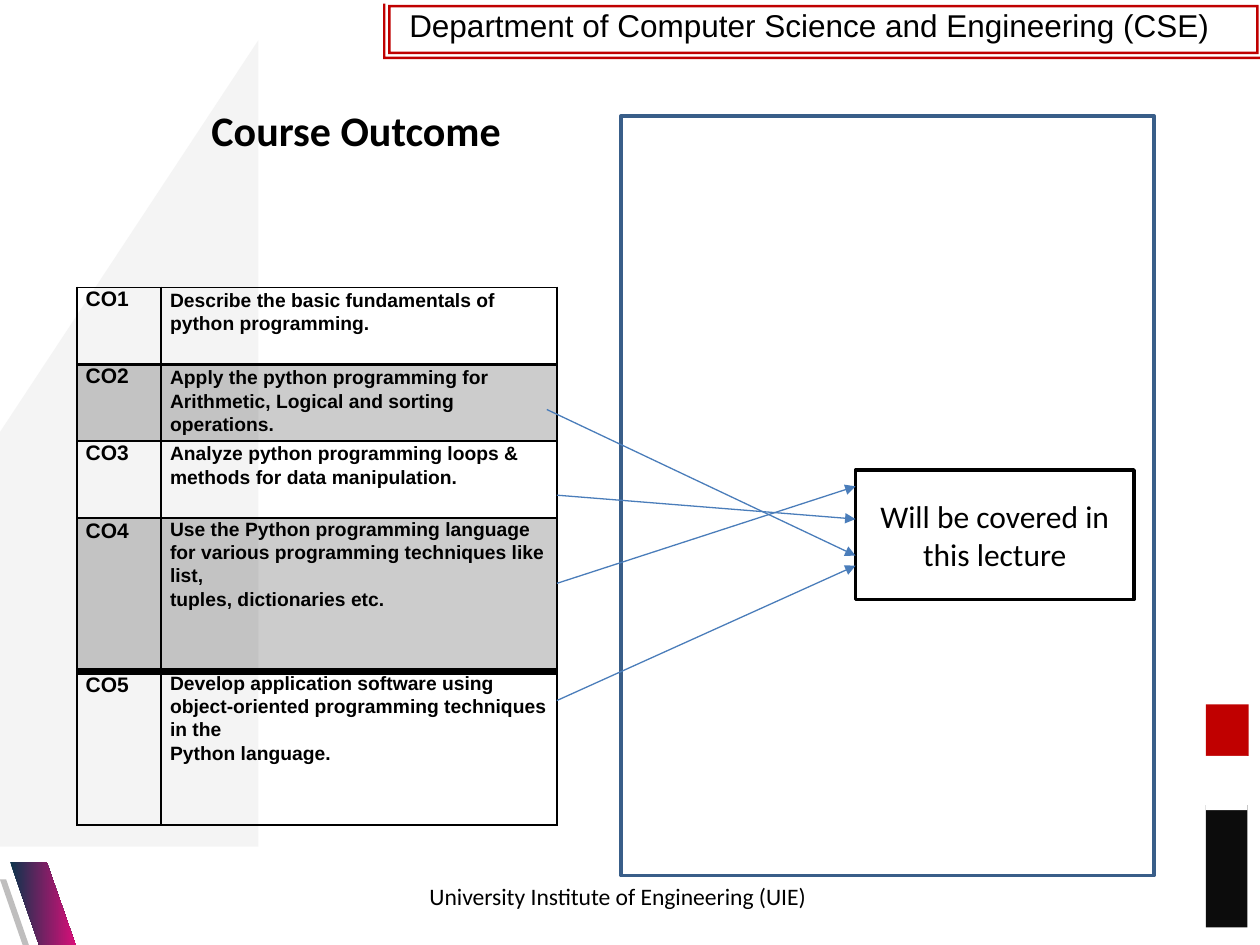
from lxml import etree
from pptx import Presentation
from pptx.dml.color import RGBColor
from pptx.enum.shapes import MSO_CONNECTOR, MSO_SHAPE
from pptx.enum.text import MSO_ANCHOR, PP_ALIGN
from pptx.oxml.ns import qn
from pptx.util import Inches, Pt

RECT, TRIANGLE = MSO_SHAPE.RECTANGLE, MSO_SHAPE.RIGHT_TRIANGLE
STRAIGHT = MSO_CONNECTOR.STRAIGHT
CENTER, MIDDLE = PP_ALIGN.CENTER, MSO_ANCHOR.MIDDLE

THEME = dict(
    head="Arial", body="Calibri",
    black="000000", white="FFFFFF", red="C00000", ink="0C0C0C",
    pale="D8D8D8", grey="BFBEBE", navy="0C344C", pink="D80F79",
    frame="395E89", arrow="4A7DBA",
    title=24, banner=18, note=18, footer=13.5, code=12, outcome=11,
)

# code, outcome paragraphs, shaded, row height, line spacing of code and paragraphs
OUTCOMES = [
    ("CO1", ["Describe the basic fundamentals of python programming."],
     False, 0.61, Pt(13.6), [Pt(13.6)]),
    ("CO2", ["Apply the python programming for Arithmetic, Logical and sorting operations."],
     True, 0.61, Pt(13.7), [Pt(13.7)]),
    ("CO3", ["Analyze python programming loops & methods for data manipulation."],
     False, 0.61, Pt(13.6), [Pt(13.6)]),
    ("CO4", ["Use the Python programming language for various programming techniques like list,",
             "tuples, dictionaries etc."],
     True, 1.22, Pt(14.6), [1.07, Pt(13.7)]),
    ("CO5", ["Develop application software using object-oriented programming techniques in the",
             "Python language."],
     False, 1.22, Pt(14.6), [1.07, Pt(13.8)]),
]
COLUMNS = [0.67, 3.14]
RULES = [1, 2, 1, 1, 4, 1]  # widths of the horizontal table rules, top to bottom

NOTE = (6.79, 3.73, 2.21, 1.03)
TABLE_RIGHT = 4.42
ARROWS = [  # start x, start y, end y on the note's left side
    (TABLE_RIGHT, 3.93, 4.12),
    (4.34, 3.25, 4.41),
    (TABLE_RIGHT, 5.56, 4.49),
    (TABLE_RIGHT, 4.63, 3.86),
]
SIDE_BLOCKS = [
    ((9.57, 5.59, 0.34, 0.41), "red"),
    ((9.57, 6.39, 0.33, 0.97), "ink"),
    ((9.57, 6, 0.33, 0.43), "white"),
]
SLANT_BAR = [(0.6, 7.5), (0.37, 6.84), (0.08, 6.84), (0.31, 7.5)]
THIN_BAR = [(0.23, 7.5), (0.05, 6.98), (0, 6.98), (0.18, 7.5)]
BANNER_FRAME = [
    [(3.08, 0.04), (9.99, 0.04), (9.99, 0.43), (3.08, 0.43)],
    [(3.1, 0.06), (3.1, 0.41), (9.97, 0.41), (9.97, 0.06)],
    [(3.04, 0.03), (3.06, 0.03), (3.06, 0.45), (10, 0.45), (10, 0.47), (3.04, 0.47)],
]
UNITS = 100  # freeform units per inch


def color(name):
    return RGBColor.from_string(THEME[name])


def set_alpha(fill_parent, percent):
    """Make the solid fill directly under fill_parent translucent."""
    rgb = fill_parent.find(qn("a:solidFill")).find(qn("a:srgbClr"))
    etree.SubElement(rgb, qn("a:alpha"), val=str(percent * 1000))


def paint(s, fill=None, line=None, width=2):
    s.shadow.inherit = False
    if fill:
        s.fill.solid()
        s.fill.fore_color.rgb = color(fill)
    else:
        s.fill.background()
    if line:
        s.line.color.rgb = color(line)
        s.line.width = Pt(width)
    else:
        s.line.fill.background()
    return s


def add_box(shapes, kind, box, **look):
    return paint(shapes.add_shape(kind, *map(Inches, box)), **look)


def add_outline(shapes, contours, fill):
    """Add one filled freeform made of closed contours given in inches."""
    scaled = [[(round(x * UNITS), round(y * UNITS)) for x, y in points] for points in contours]
    builder = shapes.build_freeform(*scaled[0][0], scale=Inches(1) / UNITS)
    for i, points in enumerate(scaled):
        if i:
            builder.move_to(*points[0])
        builder.add_line_segments(points[1:], close=True)
    return paint(builder.convert_to_shape(), fill=fill)


def style(p, font, size, bold=False):
    for r in p.runs:
        r.font.name = THEME[font]
        r.font.size = Pt(THEME[size])
        r.font.bold = bold
        r.font.color.rgb = color("black")


def add_text(shapes, box, text, font, size, bold=False, indent=0):
    tf = shapes.add_textbox(*map(Inches, box)).text_frame
    tf.word_wrap = True
    tf.text = text
    p = tf.paragraphs[0]
    if indent:
        p._p.get_or_add_pPr().set("marL", str(Inches(indent)))
    style(p, font, size, bold)


def fill_cell(cell, texts, size, spacings, shaded, top, bottom):
    cell.margin_left = cell.margin_right = cell.margin_top = cell.margin_bottom = 0
    tf = cell.text_frame
    tf.text = "\n".join(texts)
    for p, spacing in zip(tf.paragraphs, spacings):
        p._p.get_or_add_pPr().set("marL", str(Inches(0.07)))
        p.line_spacing = spacing
        style(p, "head", size, bold=True)
    tc_pr = cell._tc.get_or_add_tcPr()
    for side, width in zip("LRTB", (1, 1, top, bottom)):
        ln = etree.SubElement(tc_pr, qn("a:ln" + side), w=str(Pt(width)))
        solid = etree.SubElement(ln, qn("a:solidFill"))
        etree.SubElement(solid, qn("a:srgbClr"), val=THEME["black"])
    if shaded:
        cell.fill.solid()
        cell.fill.fore_color.rgb = color("black")
        set_alpha(tc_pr, 20)
    else:
        cell.fill.background()


def add_outcomes(shapes):
    table = shapes.add_table(len(OUTCOMES), len(COLUMNS), Inches(0.61), Inches(2.28),
                             Inches(sum(COLUMNS)), Inches(sum(o[3] for o in OUTCOMES))).table
    table.first_row = table.horz_banding = False
    for column, width in zip(table.columns, COLUMNS):
        column.width = Inches(width)
    for i, (code, texts, shaded, height, code_gap, gaps) in enumerate(OUTCOMES):
        table.rows[i].height = Inches(height)
        rules = RULES[i:i + 2]
        fill_cell(table.cell(i, 0), [code], "code", [code_gap], shaded, *rules)
        fill_cell(table.cell(i, 1), texts, "outcome", gaps, shaded, *rules)


def add_arrow(shapes, x1, y1, x2, y2):
    c = shapes.add_connector(STRAIGHT, *map(Inches, (x1, y1, x2, y2)))
    c.line.color.rgb = color("arrow")
    c.line.width = Pt(0.75)
    etree.SubElement(c.line._get_or_add_ln(), qn("a:tailEnd"), type="triangle")
    etree.SubElement(c._element.spPr, qn("a:effectLst"))


def add_decoration(shapes):
    wedge = add_box(shapes, TRIANGLE, (-2.17, 0.32, 4.22, 6.4), fill="pale")
    wedge._element.spPr.find(qn("a:xfrm")).set("flipH", "1")
    set_alpha(wedge._element.spPr, 26)
    for box, fill in SIDE_BLOCKS:
        add_box(shapes, RECT, box, fill=fill)
    bar = add_outline(shapes, [SLANT_BAR], "navy")
    bar.fill.gradient()
    bar.fill.gradient_angle = 0
    for stop, name in zip(bar.fill.gradient_stops, ("navy", "pink")):
        stop.color.rgb = color(name)
    add_outline(shapes, [THIN_BAR], "grey")


def main():
    prs = Presentation()
    prs.slide_width, prs.slide_height = Inches(10), Inches(7.5)
    shapes = prs.slides.add_slide(prs.slide_layouts[6]).shapes

    add_decoration(shapes)
    add_box(shapes, RECT, (4.93, 0.92, 4.23, 6.03), line="frame")
    add_text(shapes, (1.58, 0.78, 3.01, 0.5), "Course Outcome", "body", "title", bold=True)

    note = add_box(shapes, RECT, NOTE, fill="white", line="black")
    tf = note.text_frame
    tf.word_wrap = True
    tf.vertical_anchor = MIDDLE
    tf.text = "Will be covered in this lecture"
    tf.paragraphs[0].alignment = CENTER
    style(tf.paragraphs[0], "body", "note")

    add_text(shapes, (2.54, 0, 7.46, 0.4),
             "Department of Computer Science and Engineering (CSE)", "head", "banner", indent=0.61)
    add_outcomes(shapes)
    add_outline(shapes, BANNER_FRAME, "red")
    add_text(shapes, (3.31, 6.95, 3.38, 0.4),
             "University Institute of Engineering (UIE)", "body", "footer")
    for x, y, end_y in ARROWS:
        add_arrow(shapes, x, y, NOTE[0], end_y)
    prs.save("out.pptx")


if __name__ == "__main__":
    main()
